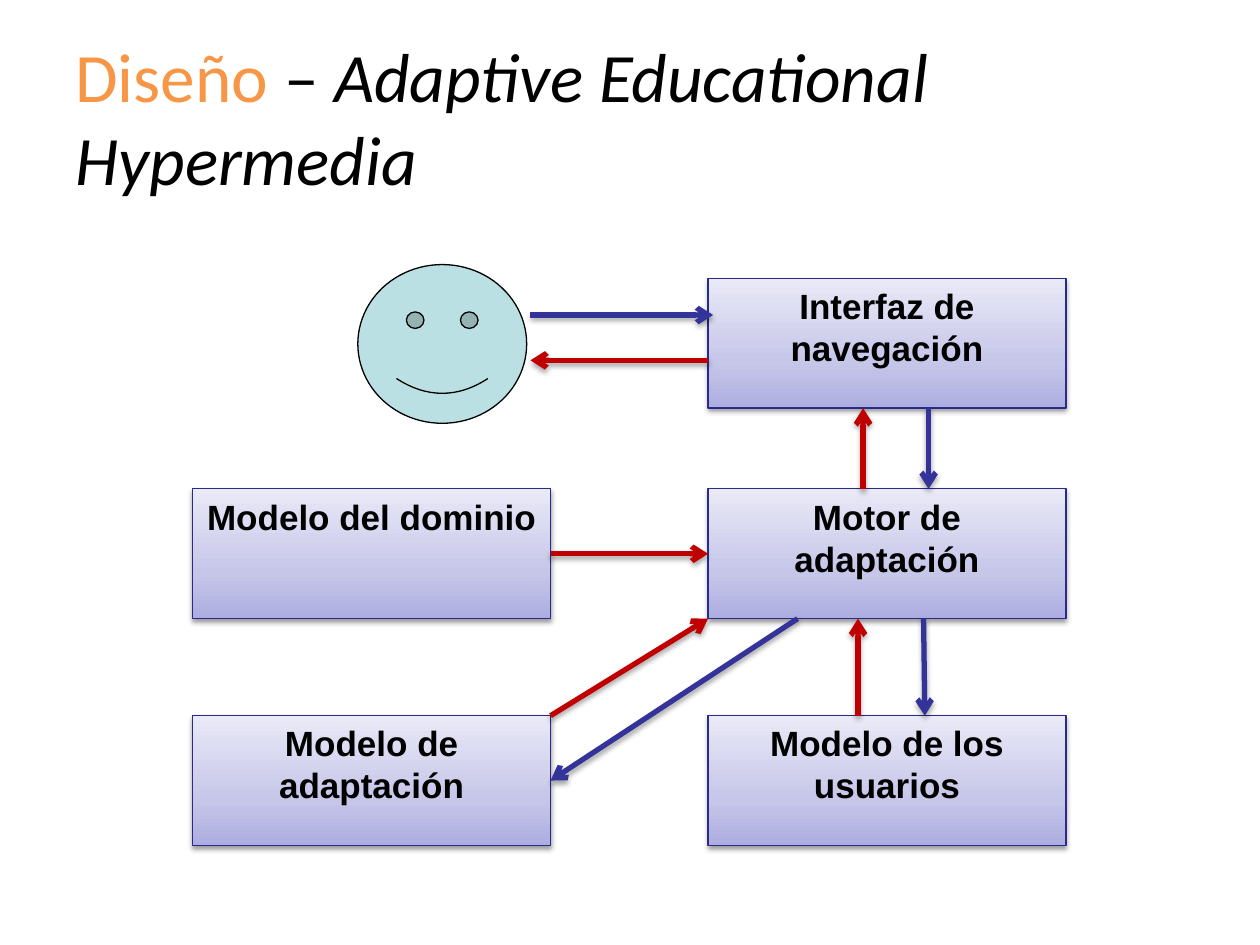
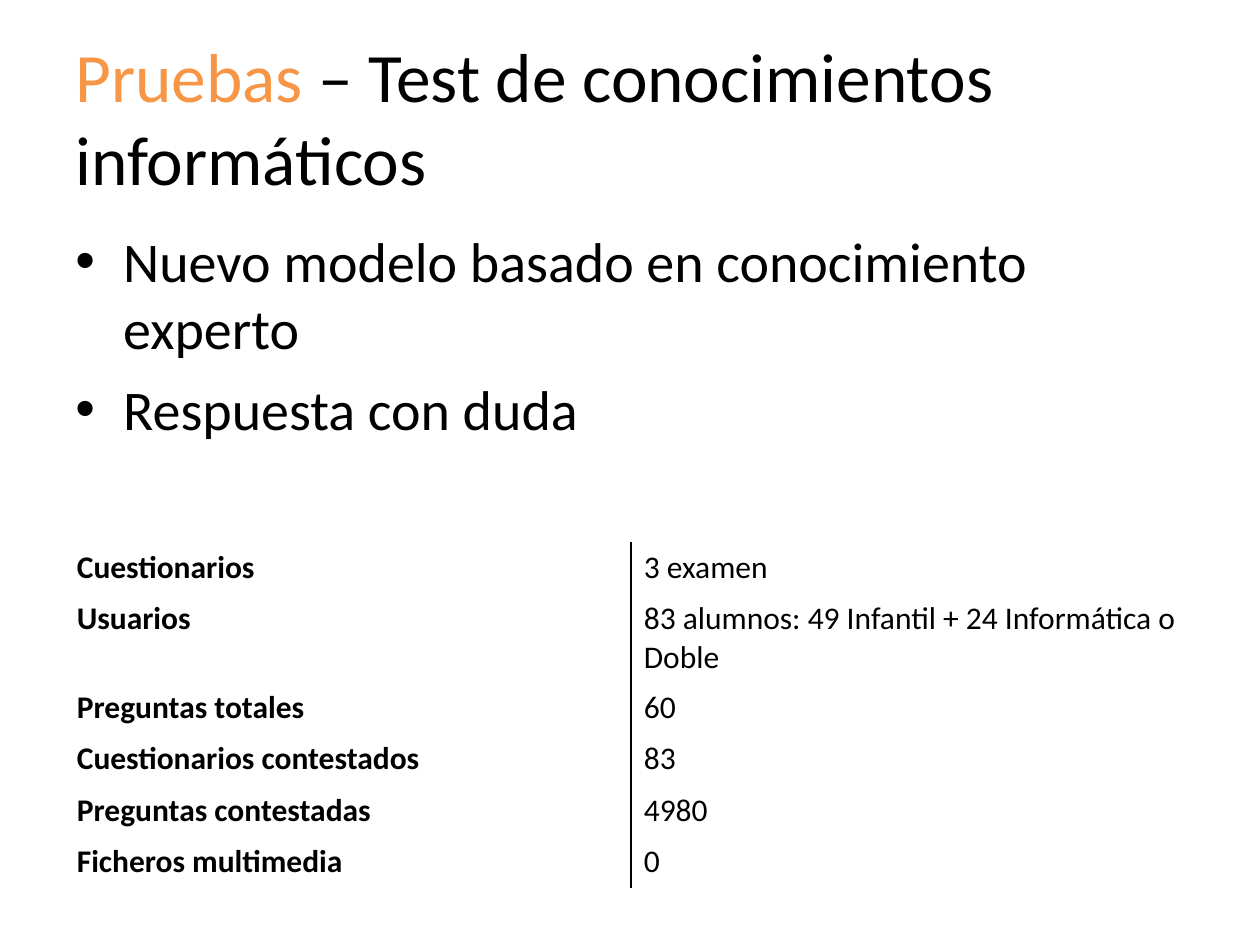
from lxml import etree
from pptx import Presentation
from pptx.dml.color import RGBColor
from pptx.enum.shapes import MSO_CONNECTOR, MSO_SHAPE
from pptx.enum.text import MSO_ANCHOR, PP_ALIGN
from pptx.oxml import parse_xml
from pptx.oxml.ns import qn
from pptx.util import Inches, Pt

STRAIGHT = MSO_CONNECTOR.STRAIGHT
RECTANGLE, SMILEY = MSO_SHAPE.RECTANGLE, MSO_SHAPE.SMILEY_FACE
TOP, MIDDLE = MSO_ANCHOR.TOP, MSO_ANCHOR.MIDDLE
LEFT, CENTER = PP_ALIGN.LEFT, PP_ALIGN.CENTER
LEFT_SIDE, RIGHT_SIDE = 1, 3
NS = 'xmlns:a="http://schemas.openxmlformats.org/drawingml/2006/main"'
PLAIN_TABLE = "{2D5ABB26-0587-4C30-8999-92F81FD0307C}"

COLORS = {"accent": "F79646", "text": "000000", "box_line": "2A2A89",
          "request": "333399", "reply": "C00000", "face": "BBE0E3"}
BOX_GRADIENT = [(0, "ADADE1"), (35, "C6C6E9"), (100, "E9E9F7")]

# Text formats
TITLE = {"name": "Calibri", "size": Pt(39.6)}
BODY = {"name": "Calibri", "size": Pt(32)}
CELL = {"name": "Calibri", "size": Pt(18)}
BOX = {"name": "Arial", "size": Pt(20), "bold": True}

# Slide 1: title parts are (text, colour, italic)
DESIGN_TITLE = [("Diseño", "accent", False), (" – ", "text", False),
                ("Adaptive Educational Hypermedia", "text", True)]
COLUMNS = [1.53, 5.62]
ROWS = [2.21, 3.88, 5.68]
BOX_W, BOX_H = 2.84, 1.03
BOXES = {  # text: (column, row)
    "Modelo de los usuarios": (1, 2),
    "Motor de adaptación": (1, 1),
    "Interfaz de navegación": (1, 0),
    "Modelo del dominio": (0, 1),
    "Modelo de adaptación": (0, 2),
}
FACE = (2.84, 2.1, 1.34, 1.26)
BOX_RIGHT = COLUMNS[0] + BOX_W
BOTTOMS = [top + BOX_H for top in ROWS]
ROW_MIDDLES = [top + BOX_H / 2 for top in ROWS]
ARROWS = [  # colour, start, end, box joined at start, box joined at end
    ("request", (7.33, BOTTOMS[1]), (7.34, ROWS[2]), None, None),
    ("request", (4.21, 2.5), (5.66, 2.5), None, None),
    ("reply", (6.81, ROWS[2]), (6.81, BOTTOMS[1]), None, None),
    ("reply", (BOX_RIGHT, ROW_MIDDLES[1]), (COLUMNS[1], ROW_MIDDLES[1]),
     "Modelo del dominio", "Motor de adaptación"),
    ("reply", (6.85, ROWS[1]), (6.85, BOTTOMS[0]), None, None),
    ("reply", (COLUMNS[1], 2.86), (4.21, 2.86), None, None),
    ("request", (7.37, BOTTOMS[0]), (7.37, ROWS[1]), None, None),
    ("reply", (BOX_RIGHT, ROWS[2]), (COLUMNS[1], BOTTOMS[1]), None, None),
    ("request", (6.33, BOTTOMS[1]), (BOX_RIGHT, ROW_MIDDLES[2]),
     None, "Modelo de adaptación"),
]

# Slide 2
TESTS_TITLE = [("Pruebas", "accent", False),
               (" – Test de conocimientos informáticos", "text", False)]
BULLETS = ["Nuevo modelo basado en conocimiento experto", "Respuesta con duda"]
RESULTS = [
    ("Cuestionarios", "3 examen"),
    ("Usuarios", "83 alumnos: 49 Infantil + 24 Informática o Doble"),
    ("Preguntas totales", "60"),
    ("Cuestionarios contestados", "83"),
    ("Preguntas contestadas", "4980"),
    ("Ficheros multimedia", "0"),
]


def rgb(key):
    return RGBColor.from_string(COLORS[key])


def inches(*lengths):
    return [Inches(length) for length in lengths]


def write(paragraph, text, style, color="text", **extra):
    run = paragraph.add_run()
    run.text = text
    for attribute, value in {**style, **extra}.items():
        setattr(run.font, attribute, value)
    run.font.color.rgb = rgb(color)


def add_frame(slide, place, anchor=TOP):
    frame = slide.shapes.add_textbox(*inches(*place)).text_frame
    frame.word_wrap = True
    frame.vertical_anchor = anchor
    return frame


def add_title(slide, parts):
    paragraph = add_frame(slide, (0.5, 0.3, 9, 1.25), MIDDLE).paragraphs[0]
    paragraph.alignment = LEFT
    for text, color, italic in parts:
        write(paragraph, text, TITLE, color, italic=italic)


def set_shadow(shape, opacity, distance):
    shape.element.spPr.append(parse_xml(
        f'<a:effectLst {NS}><a:outerShdw blurRad="{Pt(3.1)}" dist="{Pt(distance)}" '
        f'dir="5400000" rotWithShape="0"><a:srgbClr val="000000">'
        f'<a:alpha val="{opacity * 1000}"/></a:srgbClr></a:outerShdw></a:effectLst>'))


def add_box(slide, text, column, row):
    box = slide.shapes.add_shape(
        RECTANGLE, *inches(COLUMNS[column], ROWS[row], BOX_W, BOX_H))
    box.line.color.rgb = rgb("box_line")
    box.line.width = Pt(0.75)
    stops = "".join(f'<a:gs pos="{position * 1000}"><a:srgbClr val="{color}"/></a:gs>'
                    for position, color in BOX_GRADIENT)
    box.element.spPr.find(qn("a:ln")).addprevious(parse_xml(
        f'<a:gradFill {NS} rotWithShape="1"><a:gsLst>{stops}</a:gsLst>'
        '<a:lin ang="16200000" scaled="0"/></a:gradFill>'))
    set_shadow(box, 38, 1.6)
    frame = box.text_frame
    frame.word_wrap = True
    frame.vertical_anchor = TOP
    frame.paragraphs[0].alignment = CENTER
    write(frame.paragraphs[0], text, BOX)
    return box


def add_arrow(slide, color, start, end, source, target):
    arrow = slide.shapes.add_connector(STRAIGHT, *inches(*start, *end))
    if source:
        arrow.begin_connect(source, RIGHT_SIDE)
    if target:
        arrow.end_connect(target, LEFT_SIDE if start[0] < end[0] else RIGHT_SIDE)
    arrow.line.color.rgb = rgb(color)
    arrow.line.width = Pt(3)
    etree.SubElement(arrow.element.spPr.find(qn("a:ln")), qn("a:tailEnd"), type="arrow")
    set_shadow(arrow, 35, 1.8)


def build_design(slide):
    add_title(slide, DESIGN_TITLE)
    boxes = {text: add_box(slide, text, *spot) for text, spot in BOXES.items()}
    for color, start, end, source, target in ARROWS:
        add_arrow(slide, color, start, end, boxes.get(source), boxes.get(target))
    # Learner
    face = slide.shapes.add_shape(SMILEY, *inches(*FACE))
    face.shadow.inherit = False
    face.fill.solid()
    face.fill.fore_color.rgb = rgb("face")
    face.line.color.rgb = rgb("text")
    face.line.width = Pt(0.75)


def add_bullets(slide):
    frame = add_frame(slide, (0.5, 1.75, 9, 2.24))
    for index, text in enumerate(BULLETS):
        paragraph = frame.add_paragraph() if index else frame.paragraphs[0]
        paragraph.space_after = Pt(7.5)
        write(paragraph, text, BODY)
        properties = paragraph._p.get_or_add_pPr()
        properties.set("marL", str(Inches(0.38)))
        properties.set("indent", str(-Inches(0.38)))
        etree.SubElement(properties, qn("a:buFont"), typeface="Arial")
        etree.SubElement(properties, qn("a:buChar"), char="•")


def add_results(slide):
    table = slide.shapes.add_table(
        len(RESULTS), 2, *inches(0.51, 4.3, 9, 0.41 * len(RESULTS))).table
    table.first_row = table.horz_banding = False
    table._tbl.tblPr.find(qn("a:tableStyleId")).text = PLAIN_TABLE
    for row, texts in enumerate(RESULTS):
        for column, text in enumerate(texts):
            cell = table.cell(row, column)
            cell.fill.background()
            write(cell.text_frame.paragraphs[0], text, CELL, bold=column == 0)
            # Rule between the two columns
            side = "lnL" if column else "lnR"
            cell._tc.get_or_add_tcPr().insert(0, parse_xml(
                f'<a:{side} {NS} w="{Pt(1)}"><a:solidFill>'
                f'<a:srgbClr val="{COLORS["text"]}"/></a:solidFill></a:{side}>'))


def build_tests(slide):
    add_title(slide, TESTS_TITLE)
    add_results(slide)
    add_bullets(slide)


def main():
    deck = Presentation()
    deck.slide_width, deck.slide_height = inches(10, 7.5)
    for build in (build_design, build_tests):
        build(deck.slides.add_slide(deck.slide_layouts[6]))
    deck.save("out.pptx")


if __name__ == "__main__":
    main()
